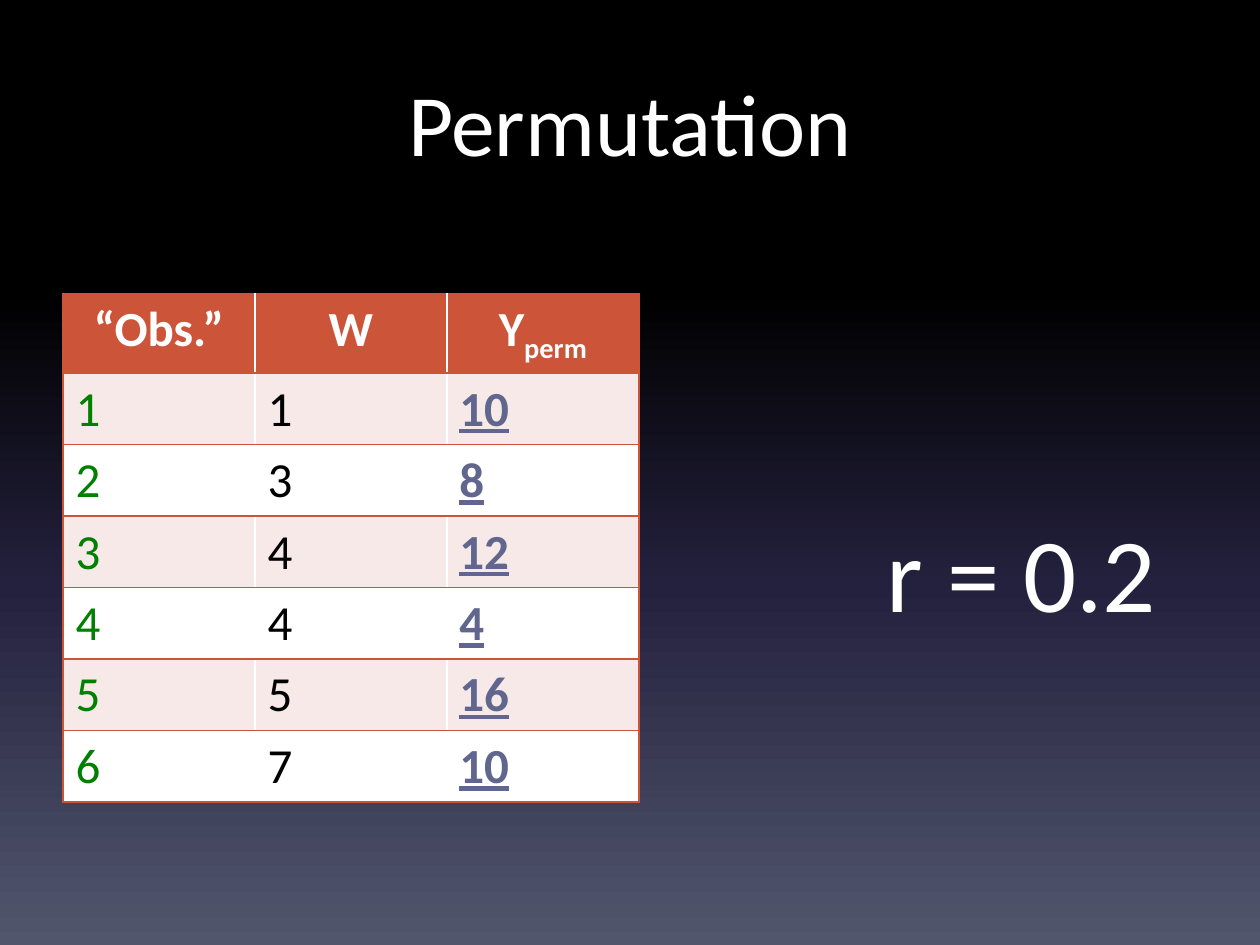
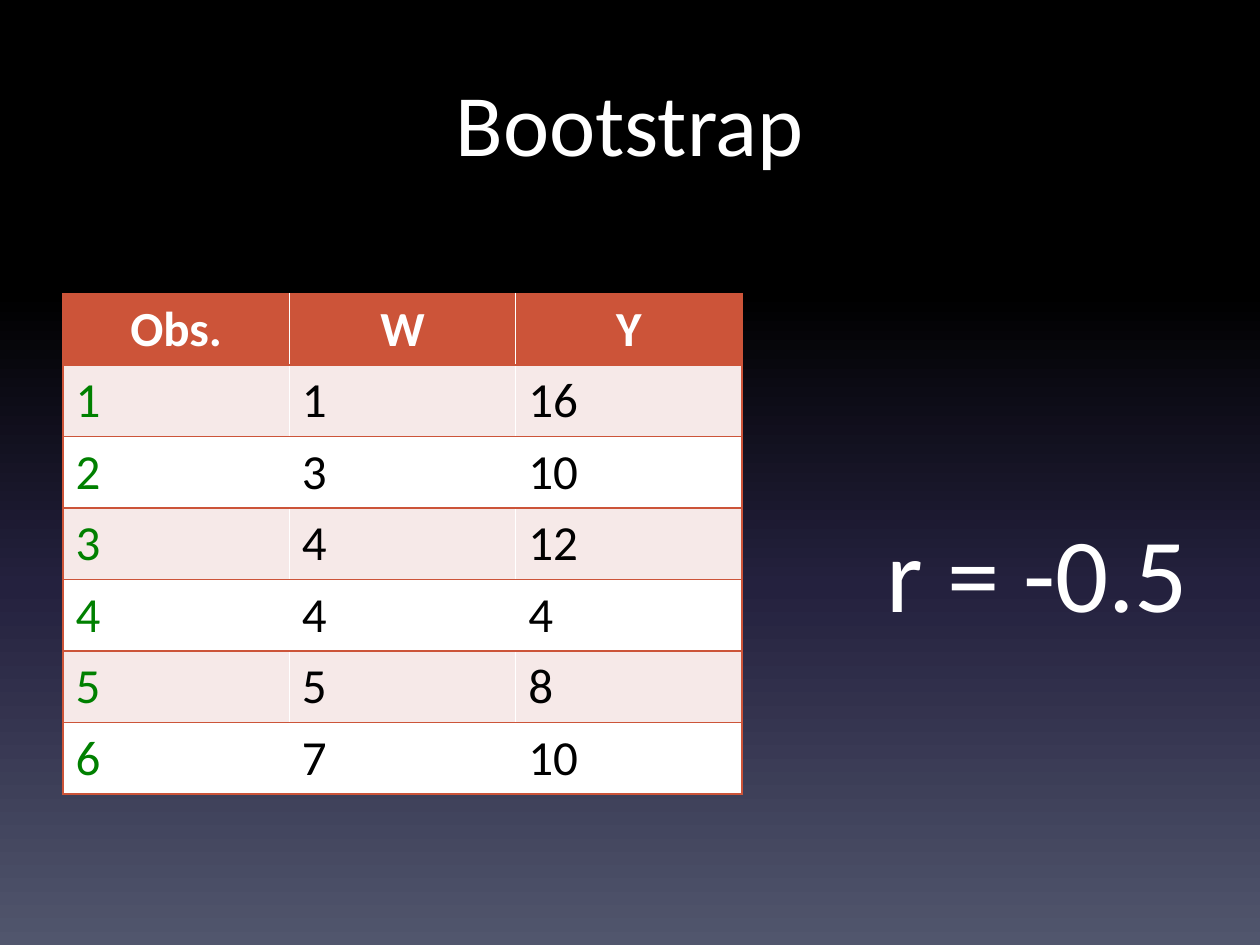
from dataclasses import dataclass, replace
from typing import NamedTuple

from lxml.etree import SubElement
from pptx import Presentation
from pptx.dml.color import RGBColor
from pptx.enum.text import MSO_ANCHOR, PP_ALIGN
from pptx.oxml.ns import qn
from pptx.util import Inches, Length, Pt

FONT = "Calibri"
WHITE, BLACK, GREEN = "FFFFFF", "000000", "008000"
RUST, BLUSH, SLATE = "CC5439", "F6E9E8", "60668D"
STOPS = [(0, BLACK), (31, BLACK), (62, "24213E"), (100, "51566D")]
WIDTH, HEIGHT = Inches(10), Inches(7.5)
COLS, ROWS = 100, 75


class Area(NamedTuple):
    """A region in grid columns and rows."""
    col: float
    row: float
    wide: float
    high: float

    def spans(self) -> list[Length]:
        """Return left, top, width and height as lengths."""
        across, down = WIDTH / COLS, HEIGHT / ROWS
        units = (across, down, across, down)
        return [Length(round(n * unit)) for n, unit in zip(self, units)]


@dataclass(frozen=True)
class Look:
    """How a run of text is drawn."""
    size: int
    color: str
    bold: bool = False
    under: bool = False
    sub: bool = False


class Part(NamedTuple):
    """One run of text and its look."""
    text: str
    look: Look


@dataclass(frozen=True)
class Page:
    """What differs between the slides."""
    title: str
    heads: list[list[Part]]
    values: list[int]
    mark: Look
    wide: float
    result: str
    span: float


TITLE, RESULT = Look(50, WHITE), Look(60, WHITE)
HEAD = Look(28, WHITE, bold=True)
LOW = replace(HEAD, sub=True)
COUNT, PLAIN = Look(28, GREEN), Look(28, BLACK)
MIXED = Look(28, SLATE, bold=True, under=True)
W_VALUES = [1, 3, 4, 4, 5, 7]

PAGES = [
    Page("Permutation",
         [[Part("“Obs.”", HEAD)], [Part("W", HEAD)],
          [Part("Y", HEAD), Part("perm", LOW)]],
         [10, 8, 12, 4, 16, 10], MIXED, 45.7, "r = 0.2", 23.4),
    Page("Bootstrap",
         [[Part("Obs.", HEAD)], [Part("W", HEAD)], [Part("Y", HEAD)]],
         [16, 10, 12, 4, 8, 10], PLAIN, 53.9, "r = -0.5", 25.9),
]


def paint(color: str) -> RGBColor:
    """Turn a hex string into a colour."""
    return RGBColor.from_string(color)


def write(frame, parts: list[Part], align=PP_ALIGN.LEFT) -> None:
    """Fill the first paragraph run by run."""
    line = frame.paragraphs[0]
    line.alignment = align
    for text, look in parts:
        run = line.add_run()
        run.text = text
        font = run.font
        font.name, font.size = FONT, Pt(look.size)
        font.bold, font.underline = look.bold, look.under
        font.color.rgb = paint(look.color)
        if look.sub:
            run._r.get_or_add_rPr().set("baseline", "-25000")


def label(slide, area: Area, part: Part, align=PP_ALIGN.LEFT, wrap: bool = True) -> None:
    """Place a text box with one run."""
    frame = slide.shapes.add_textbox(*area.spans()).text_frame
    frame.word_wrap = wrap
    frame.vertical_anchor = MSO_ANCHOR.TOP
    write(frame, [part], align)


def edge(cell, sides: list[str]) -> None:
    """Draw the given borders ahead of the cell's fill."""
    props = cell._tc.get_or_add_tcPr()
    for spot, side in enumerate(sides):
        line = SubElement(props, qn(f"a:{side}"), w=str(Pt(1)))
        solid = SubElement(line, qn("a:solidFill"))
        SubElement(solid, qn("a:srgbClr"), val=RUST)
        props.insert(spot, line)


def grid(slide, page: Page) -> None:
    """Draw the data table."""
    data = [page.heads]
    for count, (first, second) in enumerate(zip(W_VALUES, page.values), 1):
        data.append([[Part(str(count), COUNT)], [Part(str(first), PLAIN)],
                     [Part(str(second), page.mark)]])
    last = len(page.heads) - 1
    area = Area(5, 23.3, page.wide, 39.7)
    table = slide.shapes.add_table(len(data), last + 1, *area.spans()).table
    for row, items in enumerate(data):
        fill = RUST if row == 0 else (WHITE, BLUSH)[row % 2]
        for col, parts in enumerate(items):
            cell = table.cell(row, col)
            cell.fill.solid()
            cell.fill.fore_color.rgb = paint(fill)
            write(cell.text_frame, parts, PP_ALIGN.LEFT if row else PP_ALIGN.CENTER)
            outer = ["lnL"] * (col == 0) + ["lnR"] * (col == last)
            edge(cell, outer + ["lnT", "lnB"])


def shade(master) -> None:
    """Give every slide the same dark gradient."""
    fill = master.background.fill
    fill.gradient()
    fill.gradient_angle = 270
    stops = next(master.background._cSld.iter(qn("a:gsLst")))
    for stop in list(stops):
        stops.remove(stop)
    for share, color in STOPS:
        stop = SubElement(stops, qn("a:gs"), pos=str(share * 1000))
        SubElement(stop, qn("a:srgbClr"), val=color)


def main() -> None:
    """Build and save the slides."""
    deck = Presentation()
    deck.slide_width, deck.slide_height = WIDTH, HEIGHT
    shade(deck.slide_master)
    for page in PAGES:
        slide = deck.slides.add_slide(deck.slide_layouts[6])
        label(slide, Area(5, 5, 90, 12.5), Part(page.title, TITLE), PP_ALIGN.CENTER)
        grid(slide, page)
        label(slide, Area(69.4, 39.8, page.span, 11.1), Part(page.result, RESULT), wrap=False)
    deck.save("out.pptx")


if __name__ == "__main__":
    main()
